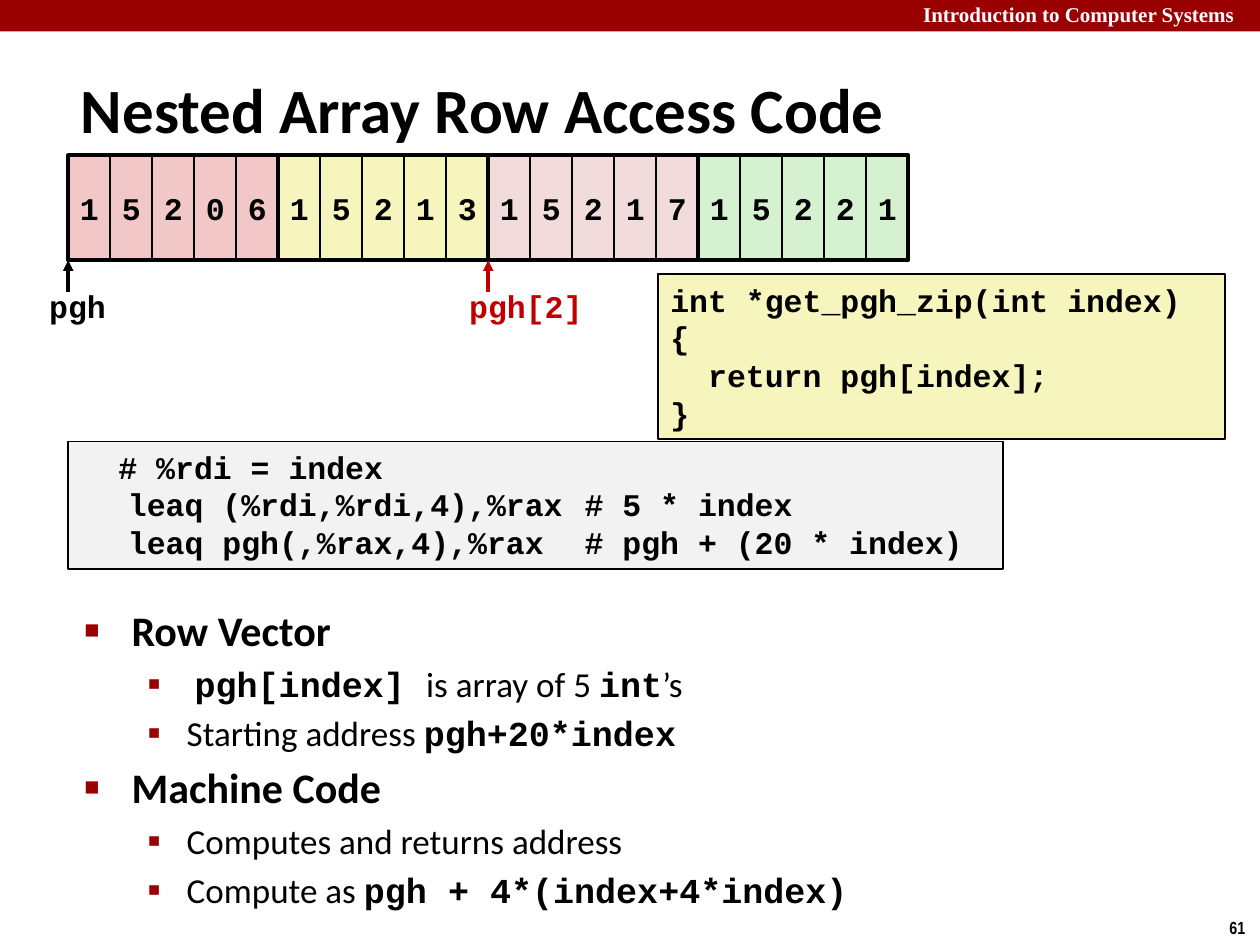
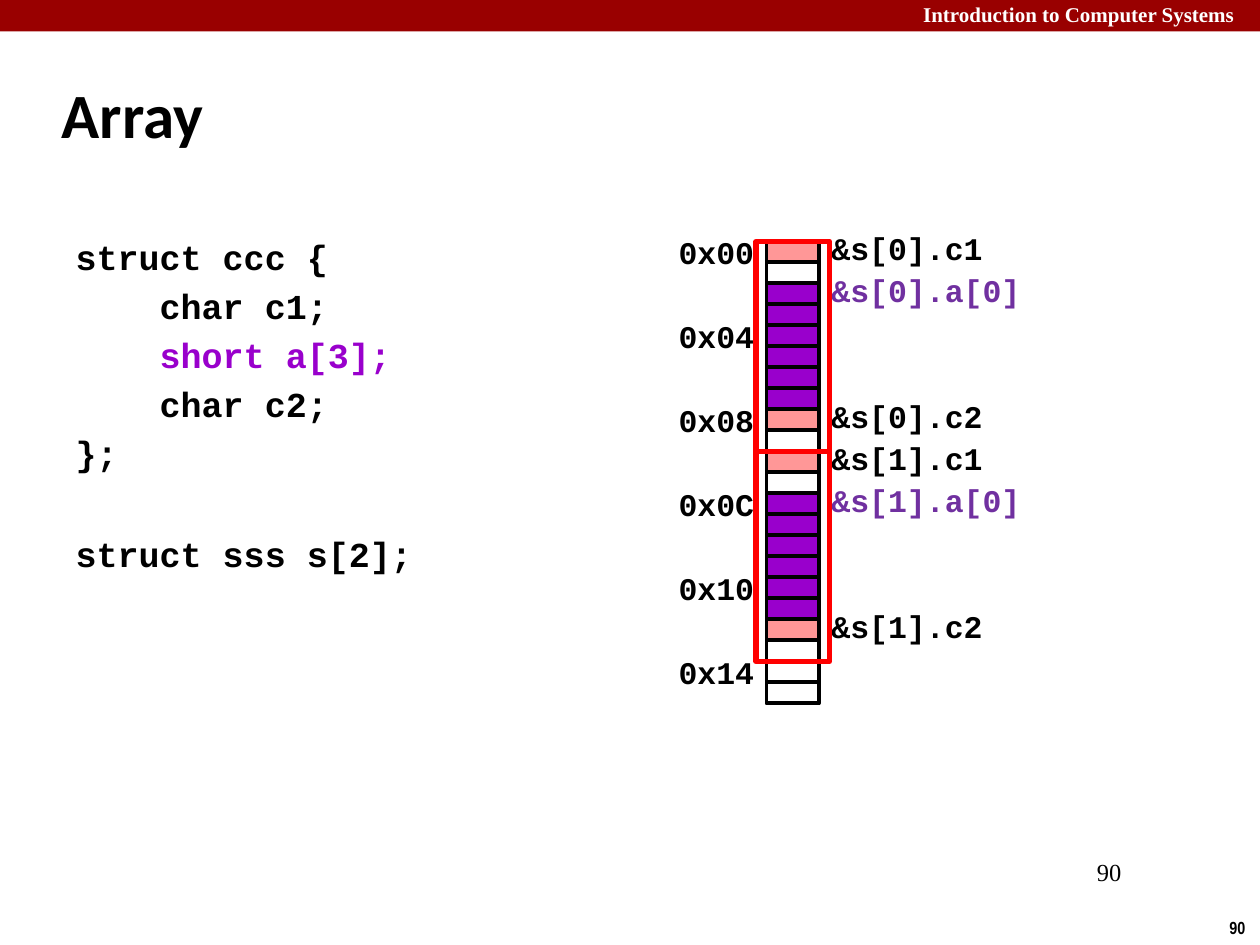
from dataclasses import dataclass

import pptx
import pptx.dml.color
import pptx.enum.shapes
import pptx.enum.text
import pptx.oxml
import pptx.oxml.ns
import pptx.util

Pt = pptx.util.Pt
qn = pptx.oxml.ns.qn
Align = pptx.enum.text.PP_ALIGN
Anchor = pptx.enum.text.MSO_ANCHOR
RECTANGLE = pptx.enum.shapes.MSO_SHAPE.RECTANGLE


@dataclass(frozen=True)
class Theme:
    black: str = "000000"
    white: str = "FFFFFF"
    band: str = "990000"
    row_fills: tuple = ("F1C7C7", "F6F5BD", "F2DCDB", "D5F1CF")
    source_fill: str = "F6F5BD"
    assembly_fill: str = "F2F2F2"
    pointer: str = "C00000"
    char_fill: str = "FF9797"
    short_fill: str = "9900CC"
    short_label: str = "7030A0"
    frame: str = "FF0000"
    heading: str = "Calibri"
    code: str = "Courier New"
    serif: str = "Times New Roman"
    narrow: str = "Arial Narrow"
    title_size: int = 36
    topic_size: int = 24
    detail_size: int = 20
    code_size: int = 18
    folio_size: int = 14
    band_size: int = 12
    number_size: int = 10


THEME = Theme()


# Text helpers
def rgb(color):
    return pptx.dml.color.RGBColor.from_string(color)


def style_run(run, font, size, color=THEME.black, bold=True):
    run.font.name = font
    run.font.size = Pt(size)
    run.font.bold = bold
    run.font.color.rgb = rgb(color)


def prepare_frame(frame, anchor=Anchor.TOP, wrap=True):
    frame.word_wrap = wrap
    frame.auto_size = pptx.enum.text.MSO_AUTO_SIZE.NONE
    frame.vertical_anchor = anchor


def fill_frame(frame, text, font=THEME.code, size=THEME.code_size,
               color=THEME.black, bold=True, align=Align.LEFT):
    frame.text = text
    for para in frame.paragraphs:
        para.alignment = align
        for run in para.runs:
            style_run(run, font, size, color, bold)


def add_properties(para, *fragments):
    """Append drawing elements, such as bullets or tabs, to a paragraph."""
    properties = para._p.get_or_add_pPr()
    namespace = pptx.oxml.ns.nsdecls("a")
    for name, body in fragments:
        properties.append(pptx.oxml.parse_xml(f"<a:{name} {namespace} {body}"))
    return properties


def set_indent(para, left, hanging):
    properties = para._p.get_or_add_pPr()
    properties.set("marL", str(Pt(left)))
    properties.set("indent", str(-Pt(hanging)))


# Shape helpers
def add_label(slide, place, text, wrap=True, **style):
    box = slide.shapes.add_textbox(*map(Pt, place))
    prepare_frame(box.text_frame, wrap=wrap)
    fill_frame(box.text_frame, text, **style)
    return box


def add_box(slide, place, fill=None, line=THEME.black, width=1.0):
    box = slide.shapes.add_shape(RECTANGLE, *map(Pt, place))
    box.shadow.inherit = False
    if fill:
        box.fill.solid()
        box.fill.fore_color.rgb = rgb(fill)
    else:
        box.fill.background()
    if line:
        box.line.color.rgb = rgb(line)
        box.line.width = Pt(width)
    else:
        box.line.fill.background()
    return box


def add_code_box(slide, place, fill, code, tabs=()):
    box = add_box(slide, place, fill)
    prepare_frame(box.text_frame)
    fill_frame(box.text_frame, code)
    stops = "".join(f'<a:tab pos="{Pt(stop)}" algn="l"/>' for stop in tabs)
    if stops:
        for para in box.text_frame.paragraphs:
            add_properties(para, ("tabLst", f">{stops}</a:tabLst>"))


def add_pointer(slide, x, bottom, top, label, label_width, color):
    straight = pptx.enum.shapes.MSO_CONNECTOR.STRAIGHT
    arrow = slide.shapes.add_connector(straight, Pt(x), Pt(bottom), Pt(x), Pt(top))
    arrow.line.color.rgb = rgb(color)
    arrow.line.width = Pt(2)
    line = arrow.line._get_or_add_ln()
    line.append(line.makeelement(qn("a:tailEnd"), {"type": "triangle"}))
    outline = arrow._element.spPr
    outline.append(outline.makeelement(qn("a:effectLst"), {}))
    add_label(slide, (x - 18, bottom - 6.5, label_width, 29), label,
              wrap=False, color=color)


# Parts shared by the slides
def add_band(slide, layout):
    """Draw the top band and keep it on the layout."""
    band = add_box(slide, (0, 0, 720, 18), THEME.band, line=None)
    course = add_label(slide, (422.5, -2.5, 290, 22),
                       "Introduction to Computer Systems", font=THEME.serif,
                       size=THEME.band_size, color=THEME.white, align=Align.RIGHT)
    for shape in (band, course):
        layout.shapes.element.append(shape._element)


def place_placeholder(placeholder, place, anchor):
    left, top, width, height = map(Pt, place)
    placeholder.left, placeholder.top = left, top
    placeholder.width, placeholder.height = width, height
    prepare_frame(placeholder.text_frame, anchor)
    return placeholder.text_frame


def add_slide(deck, layout, title, title_place, number):
    slide = deck.slides.add_slide(layout)
    frame = place_placeholder(slide.shapes.title, title_place, Anchor.MIDDLE)
    fill_frame(frame, title, font=THEME.heading, size=THEME.title_size)
    add_label(slide, (695.5, 520.5, 24.5, 19.5), number, wrap=False,
              font=THEME.narrow, size=THEME.number_size)
    return slide


# Lists: text between backticks is set as code
def add_bullets(slide, place, items):
    frame = place_placeholder(slide.placeholders[1], place, Anchor.TOP)
    frame.text = "\n".join(text for level, text in items)
    for para, (level, text) in zip(frame.paragraphs, items):
        para.text = ""
        para.level = level
        left, hanging = ((27, 27), (58.5, 22.5))[level]
        mark, scale = (("■", 60), ("▪", 110))[level]
        set_indent(para, left, hanging)
        add_properties(
            para,
            ("buClr", f'><a:srgbClr val="{THEME.band}"/></a:buClr>'),
            ("buSzPct", f'val="{scale * 1000}"/>'),
            ("buFont", 'typeface="Arial"/>'),
            ("buChar", f'char="{mark}"/>'))
        size = THEME.detail_size if level else THEME.topic_size
        for index, part in enumerate(text.split("`")):
            if part:
                is_code = index % 2 == 1
                run = para.add_run()
                run.text = part
                style_run(run, THEME.code if is_code else THEME.heading, size,
                          bold=is_code or level == 0)
    frame.paragraphs[0].space_before = Pt(0)


def add_declaration(slide, place, lines, accents):
    frame = place_placeholder(slide.placeholders[1], place, Anchor.TOP)
    fill_frame(frame, "\n".join(lines), size=THEME.detail_size)
    for index, para in enumerate(frame.paragraphs):
        set_indent(para, 0, 0)
        add_properties(para, ("buNone", "/>"))
        for run in para.runs:
            run.font.color.rgb = rgb(accents.get(index, THEME.black))
    frame.paragraphs[0].space_before = Pt(0)
    frame.paragraphs[-1].space_before = Pt(33.5)


# Diagrams
def add_zip_rows(slide, rows, left=39, top=88.75, cell=24, height=60):
    row_width = cell * len(rows[0])
    for row, (digits, fill) in enumerate(zip(rows, THEME.row_fills)):
        for column, digit in enumerate(digits):
            x = left + row * row_width + column * cell
            box = add_box(slide, (x, top, cell, height), fill)
            prepare_frame(box.text_frame, Anchor.MIDDLE, wrap=False)
            fill_frame(box.text_frame, digit, align=Align.CENTER)
    for row in range(len(rows)):
        add_box(slide, (left + row * row_width, top, row_width, height), width=2.25)
    for row, label, width, color in ((0, "pgh", 47.5, THEME.black),
                                     (2, "pgh[2]", 80, THEME.pointer)):
        add_pointer(slide, left + row * row_width, top + height + 18.25,
                    top + height, label, width, color)


def add_memory(slide, left=438, top=138, width=30, step=12):
    struct_bytes = "c-aaaaaac-"
    struct_size = len(struct_bytes)
    fills = {"c": THEME.char_fill, "a": THEME.short_fill}
    # Bytes of two structs, and two free bytes
    for offset, kind in enumerate(struct_bytes * 2 + "--"):
        add_box(slide, (left, top + offset * step, width, step),
                fills.get(kind), width=2.25)
    # Addresses on the left
    for address in range(0, 0x15, 4):
        add_label(slide, (left - 60, top + address * step - 8.5, 60, 29),
                  f"0x{address:02X}", align=Align.RIGHT)
    # Field names on the right, and a frame for each struct
    for element in range(2):
        start = element * struct_size
        for offset, field, color in ((0, "c1", THEME.black),
                                     (2, "a[0]", THEME.short_label),
                                     (8, "c2", THEME.black)):
            y = top + (start + offset) * step - 10.75
            add_label(slide, (left + width, y, 138, 29),
                      f"&s[{element}].{field}", color=color)
        add_box(slide, (left - 6, top + start * step, width + 12,
                        struct_size * step), line=THEME.frame, width=3)


def main():
    deck = pptx.Presentation()
    deck.slide_width, deck.slide_height = Pt(720), Pt(540)
    layout = deck.slide_layouts[1]

    # Row access
    slide = add_slide(deck, layout, "Nested Array Row Access Code",
                      (39, 39, 602, 45.5), "61")
    add_band(slide, layout)
    add_bullets(slide, (41, 342, 583, 186), [
        (0, "Row Vector"),
        (1, " `pgh[index] `is array of 5 `int`’s"),
        (1, "Starting address `pgh+20*index`"),
        (0, "Machine Code"),
        (1, "Computes and returns address"),
        (1, "Compute as `pgh + 4*(index+4*index)`"),
    ])
    add_code_box(slide, (376, 156.75, 324, 94.25), THEME.source_fill,
                 "int *get_pgh_zip(int index)\n{\n  return pgh[index];\n}")
    add_code_box(slide, (39, 252.25, 534, 73), THEME.assembly_fill,
                 "  # %rdi = index\n"
                 "\tleaq (%rdi,%rdi,4),%rax\t# 5 * index\n"
                 "\tleaq pgh(,%rax,4),%rax\t# pgh + (20 * index)",
                 tabs=(27, 288))
    add_zip_rows(slide, ("15206", "15213", "15217", "15221"))

    # Array of structs
    slide = add_slide(deck, layout, "Array", (28, 34.5, 598, 60), "90")
    add_label(slide, (546, 486, 102, 36), "90", font=THEME.serif,
              size=THEME.folio_size, bold=False, align=Align.RIGHT)
    add_declaration(slide, (36, 131, 240, 301), [
        "struct ccc {",
        "    char c1;",
        "    short a[3];",
        "    char c2;",
        "};",
        "struct sss s[2];",
    ], accents={2: THEME.short_fill})
    add_memory(slide)

    deck.save("out.pptx")


if __name__ == "__main__":
    main()
